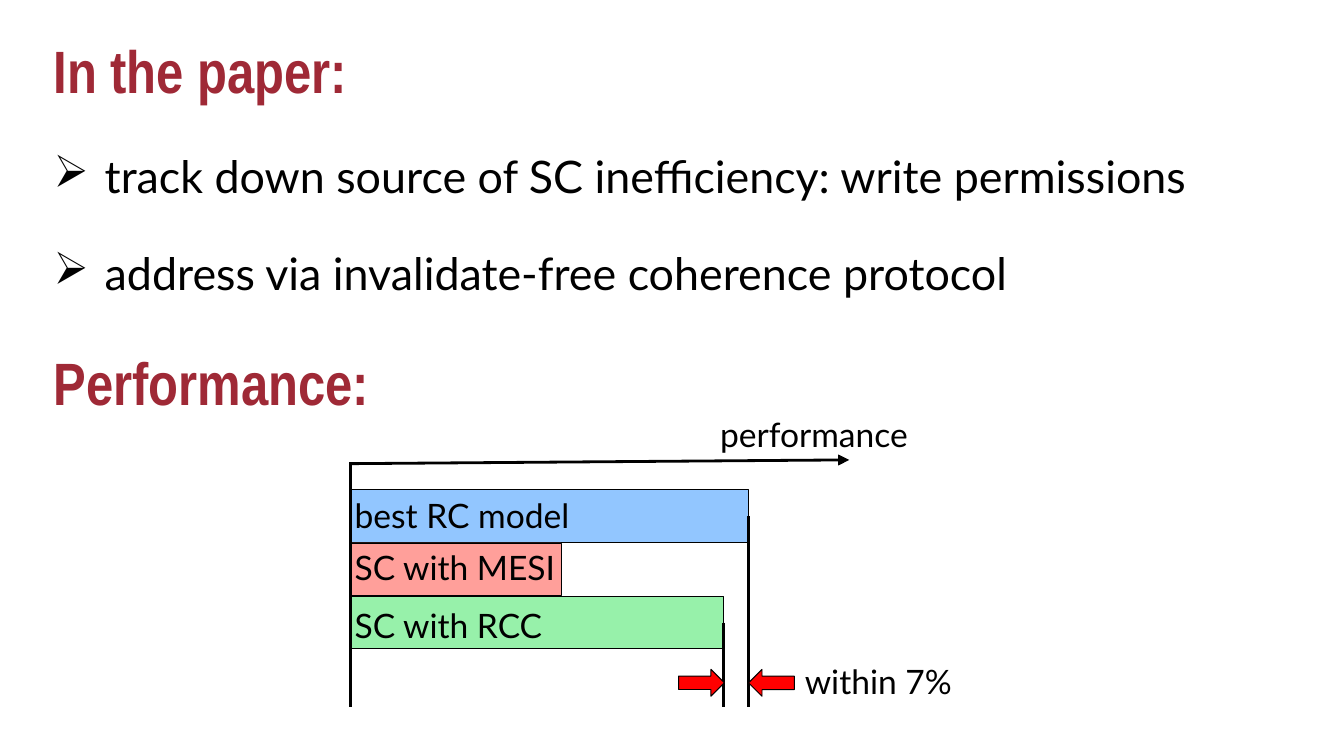
from pptx import Presentation
from pptx.util import Pt
from pptx.dml.color import RGBColor
from pptx.enum.shapes import MSO_SHAPE as Shape, MSO_CONNECTOR as Conn
from pptx.enum.text import MSO_ANCHOR as Anchor, MSO_AUTO_SIZE as Auto, PP_ALIGN as Align
from lxml.etree import SubElement as Sub
from pptx.oxml.ns import qn

hue = RGBColor.from_string

deck = Presentation()
deck.slide_width, deck.slide_height = Pt(720), Pt(405)
slide = deck.slides.add_slide(deck.slide_layouts[6])
shapes = slide.shapes


def write(para, text, size, font="Lato", color="000000", bold=False):
    run = para.add_run()
    run.text = text
    run.font.size = Pt(size)
    run.font.name = font
    run.font.bold = bold
    run.font.color.rgb = hue(color)


def draw(kind, x, y, w, h, fill):
    item = shapes.add_shape(kind, Pt(x), Pt(y), Pt(w), Pt(h))
    item.shadow.inherit = False
    item.fill.solid()
    item.fill.fore_color.rgb = hue(fill)
    item.line.color.rgb = hue("000000")
    item.line.width = Pt(0.5)
    return item


frames = []
for title, top, high in [("In the paper:", 18.7, 146), ("Performance:", 184.3, 44.6)]:
    frame = shapes.add_textbox(Pt(21.6), Pt(top), Pt(669), Pt(high)).text_frame
    frame.word_wrap = True
    frame.vertical_anchor = Anchor.MIDDLE
    para = frame.paragraphs[0]
    para.line_spacing = 0.9
    write(para, title, 32, "Arial Narrow", "9F2936", True)
    frames.append(frame)

for text in [
    "track down source of SC inefficiency: write permissions",
    "address via invalidate-free coherence protocol",
]:
    para = frames[0].add_paragraph()
    para.alignment = Align.JUSTIFY
    para.line_spacing = 0.9
    para.space_before = Pt(26)
    props = para._p.get_or_add_pPr()
    props.set("marL", str(Pt(27.4)))
    props.set("indent", str(-Pt(27.4)))
    Sub(props, qn("a:buChar"), char="➢")
    write(para, text, 24)

left = 187.6
bars = []
for row, (wide, fill) in enumerate([(213.2, "92C6FF"), (113, "FF9F9A"), (200.2, "97F1AA")]):
    bars.append(draw(Shape.RECTANGLE, left, 262.4 + 28.5 * row, wide, 28.2, fill))

lines = []
for x1, y1, x2, y2 in [
    (left, 248.4, 455, 246.4),
    (left, 247.7, left, 378.7),
    (387.8, 333.5, 387.8, 378.7),
    (400.8, 276.5, 400.8, 378.7),
]:
    line = shapes.add_connector(Conn.STRAIGHT, Pt(x1), Pt(y1), Pt(x2), Pt(y2))
    line.line.color.rgb = hue("000000")
    line.line.width = Pt(1.5)
    Sub(line._element.spPr, qn("a:effectLst"))
    lines.append(line)

Sub(lines[0].line._get_or_add_ln(), qn("a:tailEnd"), type="triangle")
lines[2].begin_connect(bars[2], 3)
lines[3].begin_connect(bars[0], 3)

for text, x, y, wide in [
    ("performance", 378.7, 218.2, 116),
    ("best RC model", 182.9, 261.4, 171),
    ("SC with MESI", 182.9, 289.4, 123),
    ("SC with RCC", 182.9, 320.4, 142),
    ("within 7%", 424.1, 350.6, 101),
]:
    frame = shapes.add_textbox(Pt(x), Pt(y), Pt(wide), Pt(28.8)).text_frame
    frame.word_wrap = True
    frame.auto_size = Auto.SHAPE_TO_FIT_TEXT
    write(frame.paragraphs[0], text, 18)

for x, turn in [(363.6, 0), (401, 180)]:
    draw(Shape.RIGHT_ARROW, x, 358.6, 24.5, 14.4, "FF0000").rotation = turn

deck.save("out.pptx")
